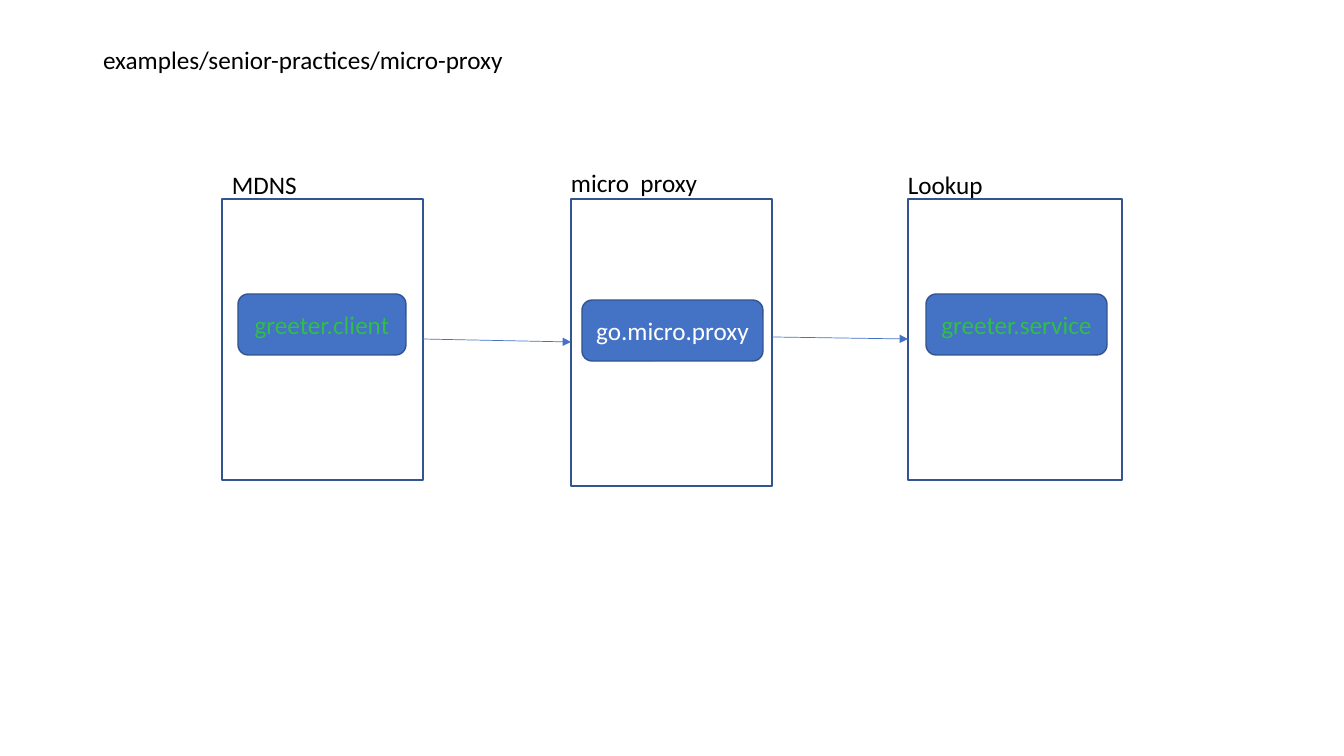
from pptx import Presentation
from pptx.dml.color import RGBColor
from pptx.enum.shapes import MSO_CONNECTOR, MSO_SHAPE
from pptx.enum.text import MSO_ANCHOR, MSO_AUTO_SIZE, PP_ALIGN
from pptx.oxml.ns import qn
from pptx.util import Pt
from lxml.etree import SubElement

SCALE = 914400 / 100.8  # EMU per pixel
BLACK = RGBColor(0x00, 0x00, 0x00)
WHITE = RGBColor(0xFF, 0xFF, 0xFF)
BLUE = RGBColor(0x44, 0x72, 0xC4)
NAVY = RGBColor(0x32, 0x54, 0x91)
GREEN = RGBColor(0x30, 0xBE, 0x47)
TOP = 199  # shared top edge of the hosts


def px(*sizes):
    return [round(size * SCALE) for size in sizes]


def write(frame, text, color, align=PP_ALIGN.LEFT):
    frame.text = text
    line = frame.paragraphs[0]
    line.alignment = align
    line.font.name = "Calibri"
    line.font.size = Pt(18)
    line.font.color.rgb = color
    return line


def add_title(slide, text):
    title = slide.shapes.title
    title.left, title.top, title.width, title.height = px(93, 40, 1159, 43)
    title.text_frame.vertical_anchor = MSO_ANCHOR.MIDDLE
    write(title.text_frame, text, BLACK).line_spacing = 0.9


def add_shape(slide, kind, place, fill):
    shape = slide.shapes.add_shape(kind, *px(*place))
    shape.shadow.inherit = False
    shape.fill.solid()
    shape.fill.fore_color.rgb = fill
    shape.line.color.rgb = NAVY
    shape.line.width = Pt(1)
    return shape


def add_node(slide, text, place, color):
    node = add_shape(slide, MSO_SHAPE.FLOWCHART_ALTERNATE_PROCESS, place, BLUE)
    frame = node.text_frame
    frame.word_wrap = True
    frame.vertical_anchor = MSO_ANCHOR.MIDDLE
    write(frame, text, color, PP_ALIGN.CENTER)


def add_label(slide, text, place):
    frame = slide.shapes.add_textbox(*px(*place)).text_frame
    frame.word_wrap = True
    frame.auto_size = MSO_AUTO_SIZE.SHAPE_TO_FIT_TEXT
    write(frame, text, BLACK)


def add_arrow(slide, ends):
    arrow = slide.shapes.add_connector(MSO_CONNECTOR.STRAIGHT, *px(*ends))
    arrow.line.color.rgb = BLUE
    arrow.line.width = Pt(0.5)
    SubElement(arrow.line._get_or_add_ln(), qn("a:tailEnd"), type="triangle")
    SubElement(arrow._element.spPr, qn("a:effectLst"))


def main():
    deck = Presentation()
    deck.slide_width, deck.slide_height = px(1344, 756)
    slide = deck.slides.add_slide(deck.slide_layouts[5])
    add_title(slide, "examples/senior-practices/micro-proxy")

    # Hosts: left, width, height; label and its place; node, its place and colour
    hosts = [
        (222, 201, 281, "MDNS", (222, 164, 97, 40),
         "greeter.client", (238, 294, 168, 61), GREEN),
        (571, 201, 287, "micro  proxy", (561, 162, 154, 72),
         "go.micro.proxy", (582, 300, 181, 61), WHITE),
        (908, 214, 281, "Lookup", (898, 164, 97, 40),
         "greeter.service", (926, 294, 181, 61), GREEN),
    ]
    for left, width, height, label, spot, node, place, color in hosts:
        add_shape(slide, MSO_SHAPE.RECTANGLE, (left, TOP, width, height), WHITE)
        add_label(slide, label, spot)
        add_node(slide, node, place, color)

    # Calls from host to host
    for ends in [(422, 339, 571, 342), (772, 337, 908, 339)]:
        add_arrow(slide, ends)

    deck.save("out.pptx")


main()
